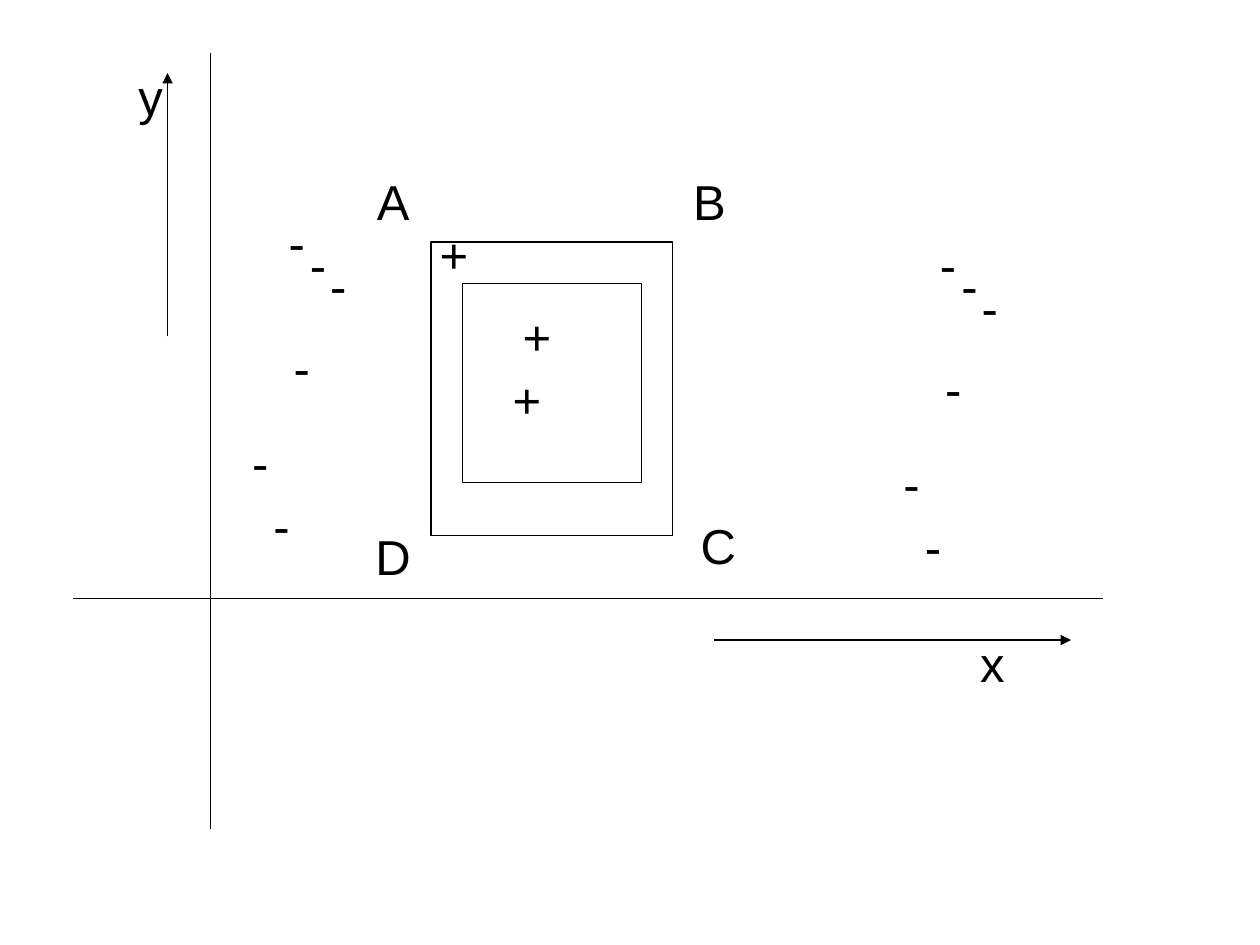
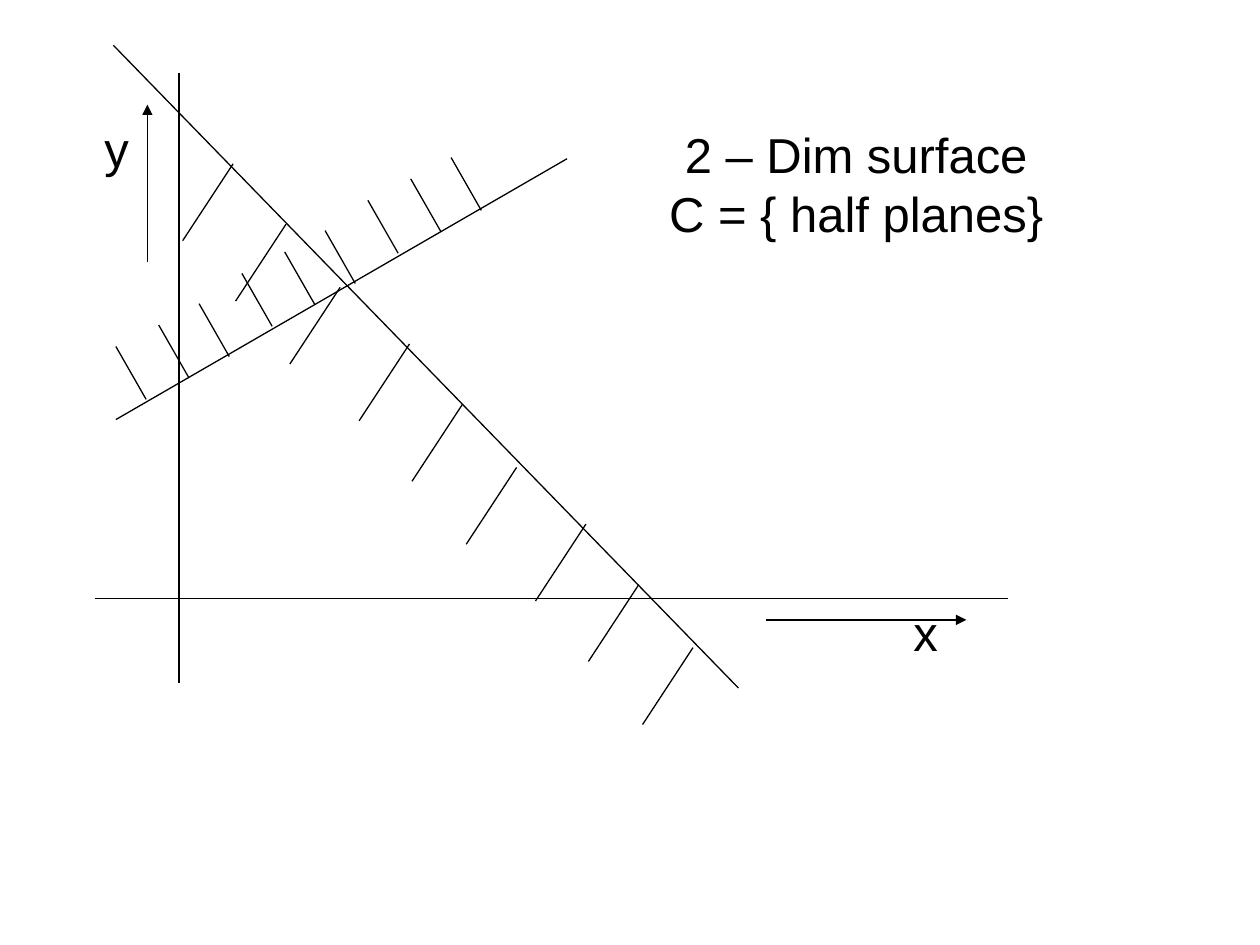
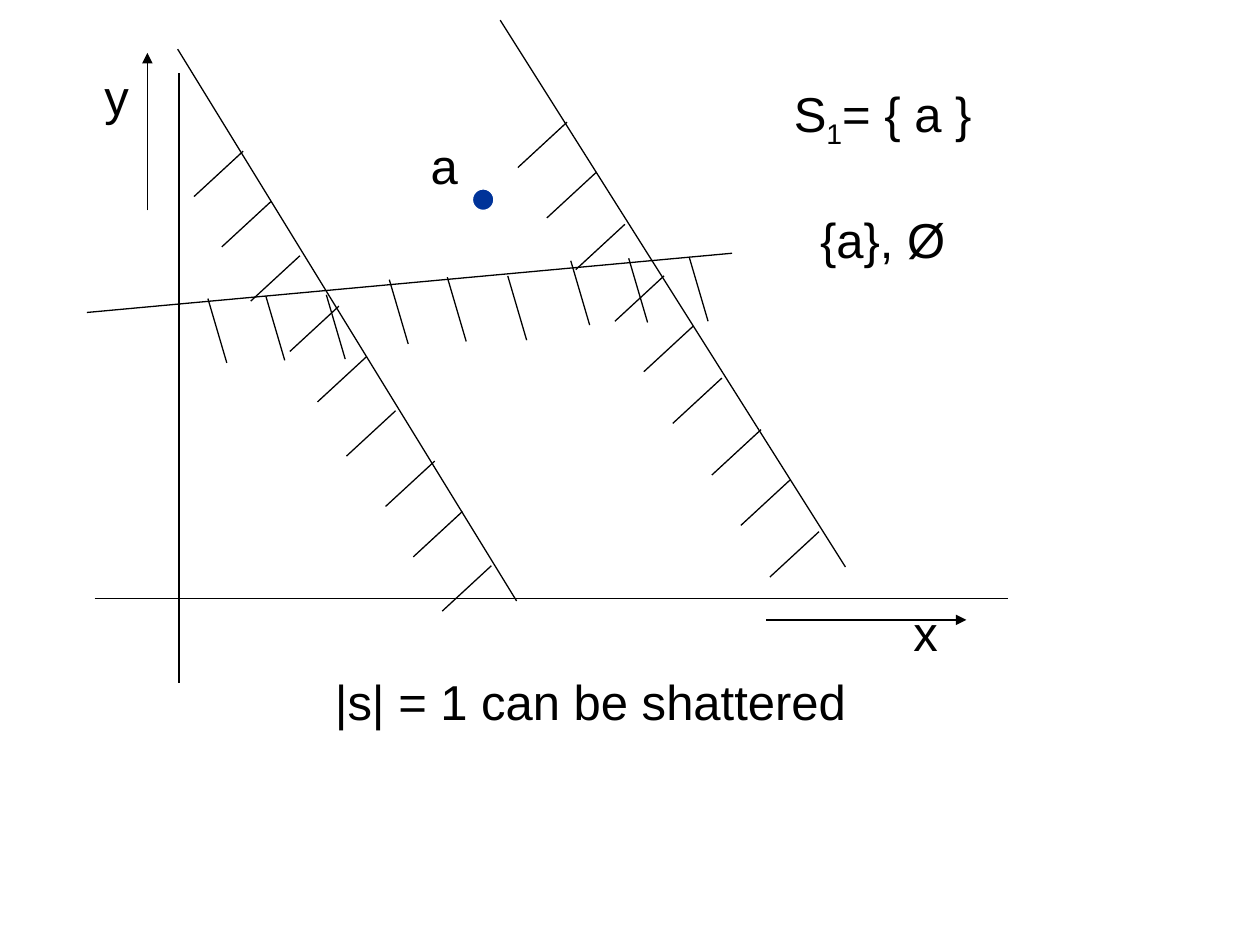
import pptx
import pptx.dml.color
import pptx.enum.shapes
import pptx.enum.text
import pptx.oxml.ns
import pptx.util
from lxml import etree

PX = 9144  # EMU per px, 100 px to the inch
FONT = "Arial"
TEXT_SIZE = 28
LINE_WIDTH = 0.75
COLORS = {"ink": "000000", "paper": "FFFFFF", "point": "003399"}
LABEL_HEIGHT = 57
AXIS_LABEL_WIDTH = 39


def px(n):
    return pptx.util.Emu(n * PX)


def rgb(name):
    return pptx.dml.color.RGBColor.from_string(COLORS[name])


def set_line(shape, color="ink"):
    shape.line.color.rgb = rgb(color)
    shape.line.width = pptx.util.Pt(LINE_WIDTH)


def add_line(shapes, start, end, arrow=False):
    cxn = shapes.add_connector(pptx.enum.shapes.MSO_CONNECTOR.STRAIGHT,
                               *map(px, start + end))
    set_line(cxn)
    if arrow:
        etree.SubElement(cxn.line._get_or_add_ln(),
                         pptx.oxml.ns.qn("a:tailEnd"), type="triangle")
    etree.SubElement(cxn._element.spPr, pptx.oxml.ns.qn("a:effectLst"))


def add_outline(slide, kind, box, fill=None, line="ink"):
    sp = slide.shapes.add_shape(kind, *map(px, box))
    sp.shadow.inherit = False
    if fill:
        sp.fill.solid()
        sp.fill.fore_color.rgb = rgb(fill)
    else:
        sp.fill.background()
    set_line(sp, line)


def add_run(p, text, subscript=False):
    r = p.add_run()
    r.text = text
    r.font.name = FONT
    r.font.size = pptx.util.Pt(TEXT_SIZE)
    r.font.color.rgb = rgb("ink")
    if subscript:
        r._r.get_or_add_rPr().set("baseline", "-25000")


def add_text(slide, box, paragraphs, gap=0):
    """Centred text; each paragraph is a list of runs, (text,) or (text, subscript)."""
    tf = slide.shapes.add_textbox(*map(px, box)).text_frame
    tf.word_wrap = False
    tf.auto_size = pptx.enum.text.MSO_AUTO_SIZE.SHAPE_TO_FIT_TEXT
    for i, runs in enumerate(paragraphs):
        p = tf.add_paragraph() if i else tf.paragraphs[0]
        p.alignment = pptx.enum.text.PP_ALIGN.CENTER
        if i and gap:
            p.space_before = pptx.util.Pt(gap)
        for run in runs:
            add_run(p, *run)


def add_label(slide, text, left, top, width):
    add_text(slide, (left, top, width, LABEL_HEIGHT), [[(text,)]])


def add_half_plane(slide, start, end, first, period, steps, tick):
    """Boundary line with three repeats of three hatch ticks on one side."""
    shapes = slide.shapes.add_group_shape().shapes
    add_line(shapes, start, end)
    for i in range(3):
        for dx, dy in steps:
            x = first[0] + i * period[0] + dx
            y = first[1] + i * period[1] + dy
            add_line(shapes, (x, y), (x + tick[0], y + tick[1]))


def add_half_plane_axes(slide, y_arrow_top):
    """Axes and direction arrows shared by the half-plane slides."""
    add_line(slide.shapes, (142, 58), (142, 542))
    add_line(slide.shapes, (75, 475), (800, 475))
    add_label(slide, "x", 715, 473, AXIS_LABEL_WIDTH)
    add_line(slide.shapes, (608, 492), (767, 492), arrow=True)
    add_label(slide, "y", 73, y_arrow_top + 6, AXIS_LABEL_WIDTH)
    add_line(slide.shapes, (117, y_arrow_top + 125), (117, y_arrow_top), arrow=True)


def build_rectangles(slide):
    # Outer and inner rectangles with corner names
    for box in ((342, 192, 192, 233), (367, 225, 142, 158)):
        add_outline(slide, pptx.enum.shapes.MSO_SHAPE.RECTANGLE, box)
    for text, left, top, width in (("A", 289, 131, 46), ("B", 540, 131, 46),
                                   ("D", 288, 413, 48), ("C", 546, 404, 48)):
        add_label(slide, text, left, top, width)

    # Positive examples, then the two matching clouds of negative ones
    for left, top in ((339, 173), (405, 238), (397, 288)):
        add_label(slide, "+", left, top, 42)
    negatives = ((219, 164), (236, 181), (252, 198),
                 (223, 263), (190, 338), (207, 388))
    for dx, dy in ((517, 17), (0, 0)):
        for left, top in negatives:
            add_label(slide, "-", left + dx, top + dy, 33)

    # Axes
    add_line(slide.shapes, (167, 42), (167, 658))
    add_line(slide.shapes, (58, 475), (875, 475))
    add_label(slide, "x", 768, 498, AXIS_LABEL_WIDTH)
    add_label(slide, "y", 100, 48, AXIS_LABEL_WIDTH)
    add_line(slide.shapes, (133, 267), (133, 58), arrow=True)
    add_line(slide.shapes, (567, 508), (850, 508), arrow=True)


def build_half_planes(slide):
    add_half_plane_axes(slide, 83)
    add_half_plane(slide, (92, 333), (450, 126), first=(116, 317), period=(100, -58),
                   steps=((0, 0), (34, -17), (66, -34)), tick=(-24, -42))
    add_half_plane(slide, (586, 546), (90, 36), first=(185, 130), period=(140, 143),
                   steps=((0, 0), (42, 48), (85, 98)), tick=(-40, 61))
    add_text(slide, (521, 94, 317, 104),
             [[("2 – Dim surface",)], [("C = { half planes}",)]])


def build_shattering(slide):
    add_half_plane_axes(slide, 42)
    add_half_plane(slide, (581, 201), (69, 248), first=(165, 237), period=(144, -15),
                   steps=((0, 0), (46, -2), (94, -3)), tick=(15, 51))
    add_half_plane(slide, (410, 477), (141, 39), first=(193, 120), period=(76, 123),
                   steps=((0, 0), (22, 40), (45, 83)), tick=(-39, 36))
    add_half_plane(slide, (671, 450), (397, 16), first=(450, 97), period=(77, 122),
                   steps=((0, 0), (23, 40), (46, 81)), tick=(-39, 36))

    # The single point and its subsets
    add_outline(slide, pptx.enum.shapes.MSO_SHAPE.OVAL, (375, 150, 17, 17),
                fill="point", line="paper")
    add_label(slide, "a", 332, 103, 41)
    add_label(slide, "|s| = 1 can be shattered", 253, 528, 431)
    add_text(slide, (620, 61, 161, 157),
             [[("S",), ("1", True), ("= { a }",)], [("{a}, Ø",)]], gap=34)


def main():
    prs = pptx.Presentation()
    prs.slide_width, prs.slide_height = px(1000), px(750)
    for build in (build_rectangles, build_half_planes, build_shattering):
        build(prs.slides.add_slide(prs.slide_layouts[6]))
    prs.save("out.pptx")


if __name__ == "__main__":
    main()
